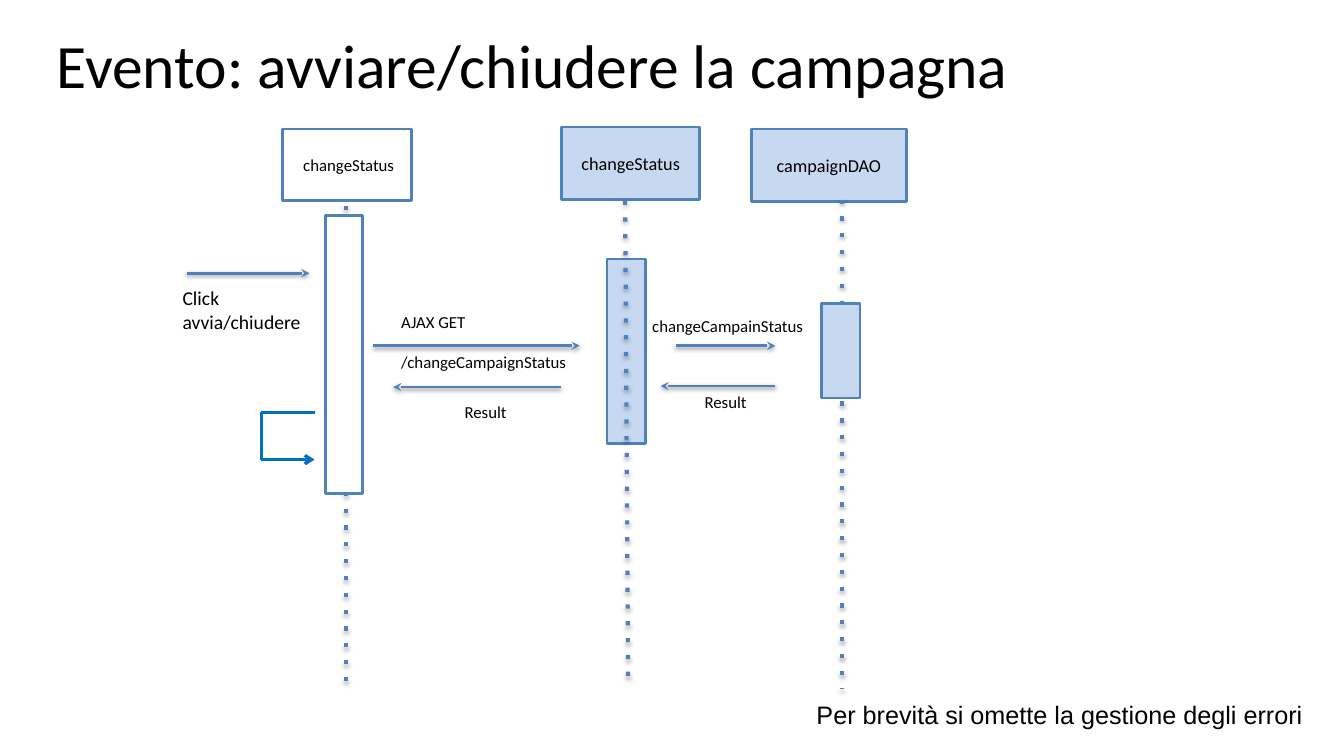
import pptx
import pptx.util
import pptx.dml.color
import pptx.enum.shapes
import pptx.enum.text
import pptx.oxml
import pptx.oxml.ns
from pptx.util import Inches

COLORS = {"text": "000000", "line": "4F81BD", "server": "C6D9F1",
          "client": "FFFFFF", "loop": "0070C0"}
NS = pptx.oxml.ns.nsdecls("a")
CENTER = pptx.enum.text.PP_ALIGN.CENTER
MIDDLE = pptx.enum.text.MSO_ANCHOR.MIDDLE
WIDE, NORMAL = (0.12, 0.06), (0.1, 0.05)


def rgb(name):
    return pptx.dml.color.RGBColor.from_string(COLORS[name])


def set_margins(tf, margins):
    tf.margin_left = tf.margin_right = Inches(margins[0])
    tf.margin_top = tf.margin_bottom = Inches(margins[1])


def add_run(p, text, size, font="Calibri"):
    r = p.add_run()
    r.text = text
    r.font.size = pptx.util.Pt(size)
    r.font.name = font
    r.font.color.rgb = rgb("text")


def add_title(s, text):
    sp = s.shapes.title
    sp.left, sp.top, sp.width, sp.height = map(Inches, (0.44, 0.01, 11.74, 1.25))
    tf = sp.text_frame
    tf.auto_size = pptx.enum.text.MSO_AUTO_SIZE.NONE
    tf.vertical_anchor = MIDDLE
    set_margins(tf, WIDE)
    p = tf.paragraphs[0]
    p.alignment = pptx.enum.text.PP_ALIGN.LEFT
    add_run(p, text, 44)


def add_box(s, at, fill, text="", size=13):
    sp = s.shapes.add_shape(pptx.enum.shapes.MSO_SHAPE.RECTANGLE, *map(Inches, at))
    sp.shadow.inherit = False
    sp.fill.solid()
    sp.fill.fore_color.rgb = rgb(fill)
    sp.line.color.rgb = rgb("line")
    sp.line.width = pptx.util.Pt(2)
    if text:
        tf = sp.text_frame
        tf.vertical_anchor = MIDDLE
        set_margins(tf, WIDE)
        p = tf.paragraphs[0]
        p.alignment = CENTER
        add_run(p, text, size)


def add_label(s, at, lines, size=12, font="Calibri", wrap=True, margins=WIDE, gap=0):
    tf = s.shapes.add_textbox(*map(Inches, at)).text_frame
    tf.word_wrap = wrap
    set_margins(tf, margins)
    for i, line in enumerate(lines):
        p = tf.add_paragraph() if i else tf.paragraphs[0]
        if i:
            p.space_before = pptx.util.Pt(gap)
        add_run(p, line, size, font)


def add_line(shapes, start, end, color="line", width=2, dash=None, head=None, shadow=None):
    """Draw a line; shadow is (opacity %, blur pt, distance pt), cast downwards."""
    sp = shapes.add_connector(pptx.enum.shapes.MSO_CONNECTOR.STRAIGHT,
                              *map(Inches, start + end))
    sp.line.color.rgb = rgb(color)
    sp.line.width = pptx.util.Pt(width)
    ln = sp.line._get_or_add_ln()
    if dash:
        ln.append(pptx.oxml.parse_xml(f'<a:prstDash {NS} val="{dash}"/>'))
    if head:
        ln.append(pptx.oxml.parse_xml(f'<a:tailEnd {NS} type="{head}"/>'))
    effect = ""
    if shadow:
        opacity, blur, dist = shadow
        effect = (f'<a:outerShdw blurRad="{pptx.util.Pt(blur)}" dist="{pptx.util.Pt(dist)}" '
                  f'dir="5400000" rotWithShape="0"><a:srgbClr val="000000">'
                  f'<a:alpha val="{opacity * 1000}"/></a:srgbClr></a:outerShdw>')
    sp._element.spPr.append(
        pptx.oxml.parse_xml(f'<a:effectLst {NS}>{effect}</a:effectLst>'))


def add_lifeline(s, start, end):
    add_line(s.shapes, start, end, width=3, dash="dot", shadow=(35, 3.1, 1.8))


def add_message(s, x1, x2, y):
    add_line(s.shapes, (x1, y), (x2, y), head="stealth", shadow=(38, 3.1, 1.6))


def add_self_call(s, left, right, top, bottom):
    shapes = s.shapes.add_group_shape().shapes
    corners = [(right, top), (left, top), (left, bottom), (right, bottom)]
    for start, end, head in zip(corners, corners[1:], (None, None, "arrow")):
        add_line(shapes, start, end, "loop", 2.25, head=head)


def main():
    prs = pptx.Presentation()
    prs.slide_width, prs.slide_height = Inches(13.33), Inches(7.5)
    s = prs.slides.add_slide(prs.slide_layouts[5])
    add_title(s, "Evento: avviare/chiudere la campagna")

    # Client page
    add_lifeline(s, (3.43, 1.54), (3.43, 6.87))
    add_box(s, (2.8, 1.28, 1.28, 0.71), "client", " changeStatus", 12)
    add_box(s, (3.23, 2.14, 0.37, 2.76), "client")
    add_self_call(s, 2.59, 3.12, 4.09, 4.56)

    # Servlet
    add_box(s, (5.57, 1.26, 1.37, 0.72), "server", "changeStatus")
    add_box(s, (6.02, 2.57, 0.38, 1.83), "server")
    add_lifeline(s, (6.2, 1.99), (6.23, 6.79))

    # DAO
    add_box(s, (7.45, 1.28, 1.54, 0.72), "server", "campaignDAO")
    add_lifeline(s, (8.35, 1.98), (8.35, 6.84))
    add_box(s, (8.15, 3.01, 0.38, 0.94), "server")

    for x1, x2, y in [(1.85, 3.07, 2.71), (3.7, 5.75, 3.43), (5.56, 3.9, 3.84),
                      (6.7, 7.69, 3.43), (7.69, 6.55, 3.83)]:
        add_message(s, x1, x2, y)

    add_label(s, (1.69, 2.78, 1.58, 0.47), ["Click avvia/chiudere"], 14)
    add_label(s, (3.86, 3.03, 2.1, 1.05), ["AJAX GET", "/changeCampaignStatus"], gap=14.5)
    for at, text in [((6.37, 3.08, 1.72, 0.3), "changeCampainStatus"),
                     ((6.89, 3.84, 0.66, 0.3), "Result"),
                     ((4.51, 3.94, 0.66, 0.3), "Result")]:
        add_label(s, at, [text], wrap=False, margins=NORMAL)
    add_label(s, (8, 6.89, 5.33, 0.4), ["Per brevità si omette la gestione degli errori"],
              18, "Arial", margins=NORMAL)
    prs.save("out.pptx")


if __name__ == "__main__":
    main()
